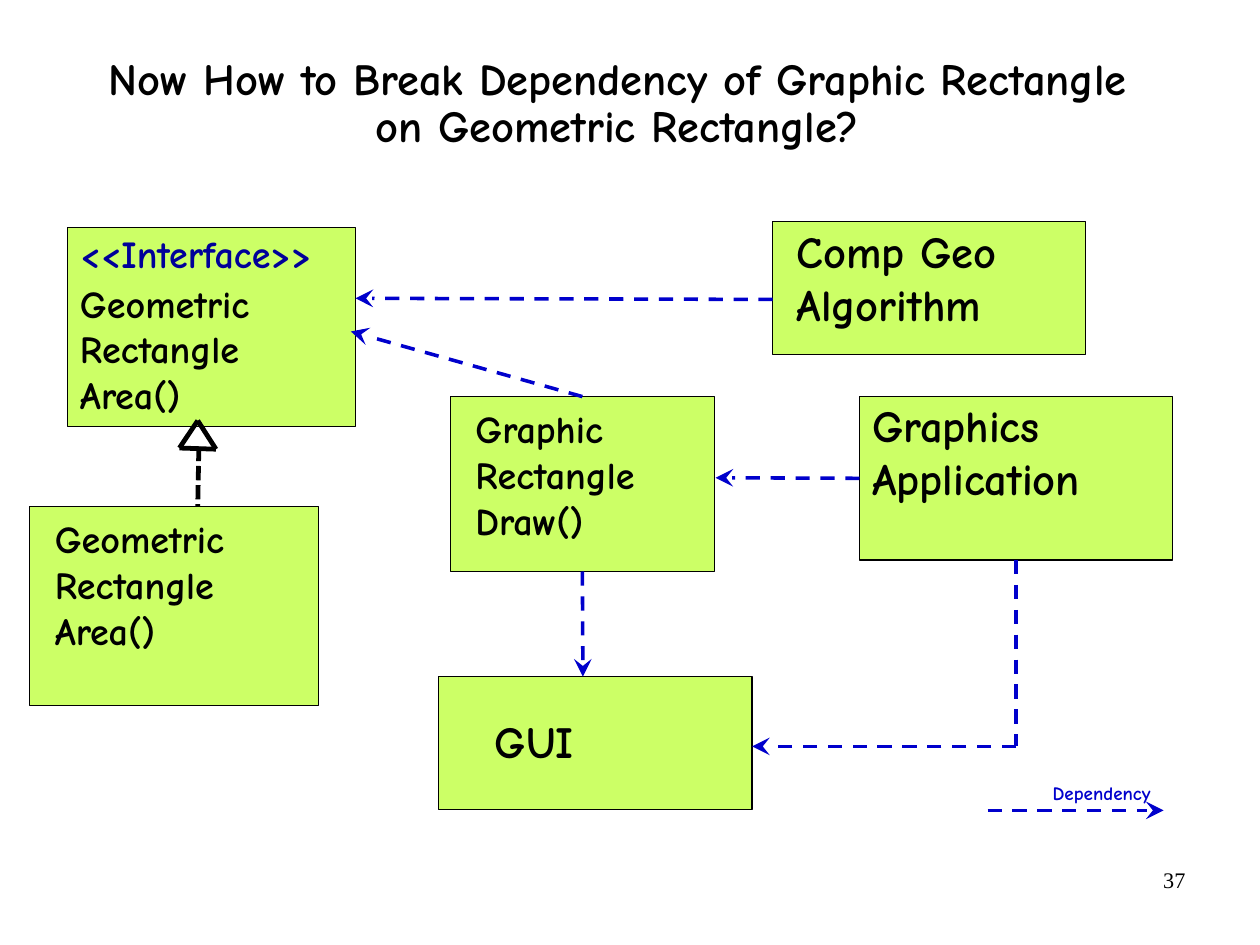
from pptx import Presentation
from pptx.dml.color import RGBColor
from pptx.enum.dml import MSO_LINE_DASH_STYLE as DASH
from pptx.enum.shapes import MSO_CONNECTOR, MSO_SHAPE
from pptx.enum.text import MSO_ANCHOR, PP_ALIGN
from pptx.oxml.ns import qn
from pptx.util import Inches, Pt
from lxml import etree

COMIC, TIMES = "Comic Neue", "Times New Roman"
BLACK, BLUE, NAVY, WHITE, LIME = "000000", "0000CC", "000099", "FFFFFF", "CCFF66"

# A page of 28 by 21 centimetres
presentation = Presentation()
presentation.slide_width = Inches(28 / 2.54)
presentation.slide_height = Inches(21 / 2.54)
slide = presentation.slides.add_slide(presentation.slide_layouts[6])
color = RGBColor.from_string


def add_text(place, paragraphs, inset=(0.11, 0.06), wrap=False, align=PP_ALIGN.LEFT):
    """Each paragraph is a list of runs: (text, size, font, colour, bold)."""
    shape = slide.shapes.add_textbox(*map(Inches, place))
    frame = shape.text_frame
    frame.word_wrap = wrap
    frame.margin_left = frame.margin_right = Inches(inset[0])
    frame.margin_top = frame.margin_bottom = Inches(inset[1])
    for index, runs in enumerate(paragraphs):
        paragraph = frame.add_paragraph() if index else frame.paragraphs[0]
        paragraph.alignment = align
        for text, size, font, ink, bold in runs:
            run = paragraph.add_run()
            run.text = text
            run.font.size, run.font.name, run.font.bold = Pt(size), font, bold
            run.font.color.rgb = color(ink)
    return frame


def add_line(start, end, ink=BLUE, width=2.25, dash=DASH.DASH, arrow=True):
    line = slide.shapes.add_connector(MSO_CONNECTOR.STRAIGHT, *map(Inches, start + end))
    line.line.color.rgb = color(ink)
    line.line.width = Pt(width)
    line.line.dash_style = dash
    if arrow:
        etree.SubElement(line.line._get_or_add_ln(), qn("a:tailEnd"),
                         type="stealth", w="lg", len="lg")
    etree.SubElement(line._element.spPr, qn("a:effectLst"))
    return line


# Title and page number
title = add_text((0.7, 0.23, 9.4, 1.37),
                 [[("Now How to Break Dependency of Graphic Rectangle on Geometric Rectangle?",
                    28, COMIC, BLACK, True)]], (0, 0), True, PP_ALIGN.CENTER)
title.vertical_anchor = MSO_ANCHOR.MIDDLE
title.paragraphs[0].line_spacing = 0.88
add_text((7.9, 7.53, 2.57, 0.57), [[("37", 14, TIMES, BLACK, False)]],
         (0.1, 0.05), True, PP_ALIGN.RIGHT)

# Class boxes: box place, label place, text size, label lines
classes = {
    "graphic": ((3.94, 3.47, 2.31, 1.53), (4.05, 3.49, 1.76, 1.31), 24,
                ["Graphic", "Rectangle", "Draw()"]),
    "geometric": ((0.26, 4.43, 2.53, 1.74), (0.37, 4.45, 1.83, 1.31), 24,
                  ["Geometric", "Rectangle", "Area()"]),
    "application": ((7.52, 3.47, 2.74, 1.43), (7.52, 3.42, 2.25, 1.04), 28,
                    ["Graphics", "Application"]),
    "gui": ((3.84, 5.92, 2.74, 1.16), (4.22, 6.19, 0.98, 0.58), 28, ["GUI"]),
    "algorithm": ((6.76, 1.94, 2.74, 1.16), (6.86, 1.9, 2.03, 1.05), 28,
                  ["Comp Geo", "Algorithm"]),
    "interface": ((0.59, 1.99, 2.52, 1.74), None, 24, []),
}
boxes = {}
for name, (place, label_place, size, lines) in classes.items():
    box = slide.shapes.add_shape(MSO_SHAPE.RECTANGLE, *map(Inches, place))
    box.shadow.inherit = False
    box.fill.solid()
    box.fill.fore_color.rgb = color(LIME)
    box.line.color.rgb = color(BLACK)
    box.line.width = Pt(0.75)
    boxes[name] = box
    if lines:
        add_text(label_place, [[(text, size, COMIC, BLACK, True)] for text in lines])

# Interface label, whose first paragraph wraps after the stereotype
add_text((0.59, 1.79, 2.67, 1.91), [
    [("<<Interface>>", 24, COMIC, NAVY, True), (" ", 36, TIMES, WHITE, True),
     ("Geometric", 24, COMIC, BLACK, True)],
    [("Rectangle", 24, COMIC, BLACK, True)],
    [("Area()", 24, COMIC, BLACK, True)],
], wrap=True)

# Dependency arrows
add_line((7.52, 4.18), (6.26, 4.18)).begin_connect(boxes["application"], 1)
add_line((5.1, 5), (5.1, 5.92)).begin_connect(boxes["graphic"], 2)
add_line((5.1, 3.47), (3.07, 2.9)).begin_connect(boxes["graphic"], 0)
add_line((6.76, 2.62), (3.11, 2.61))
add_line((8.89, 4.9), (8.89, 6.53), arrow=False).begin_connect(boxes["application"], 2)
add_line((8.89, 6.53), (6.58, 6.53))

# Legend
add_line((8.64, 7.09), (10.18, 7.09))
add_text((9.1, 6.78, 1.16, 0.31), [[("Dependency", 12, COMIC, BLUE, True)]])

# Realization: hollow triangle and dashed stem
apex, right, left = (1.73, 3.68), (1.89, 3.93), (1.57, 3.92)
for start, end in [(apex, right), (apex, left), (right, left)]:
    add_line(start, end, BLACK, 3, DASH.SOLID, arrow=False)
add_line((1.74, 3.91), (1.73, 4.43), BLACK, 3, DASH.SQUARE_DOT, arrow=False)

presentation.save("out.pptx")
